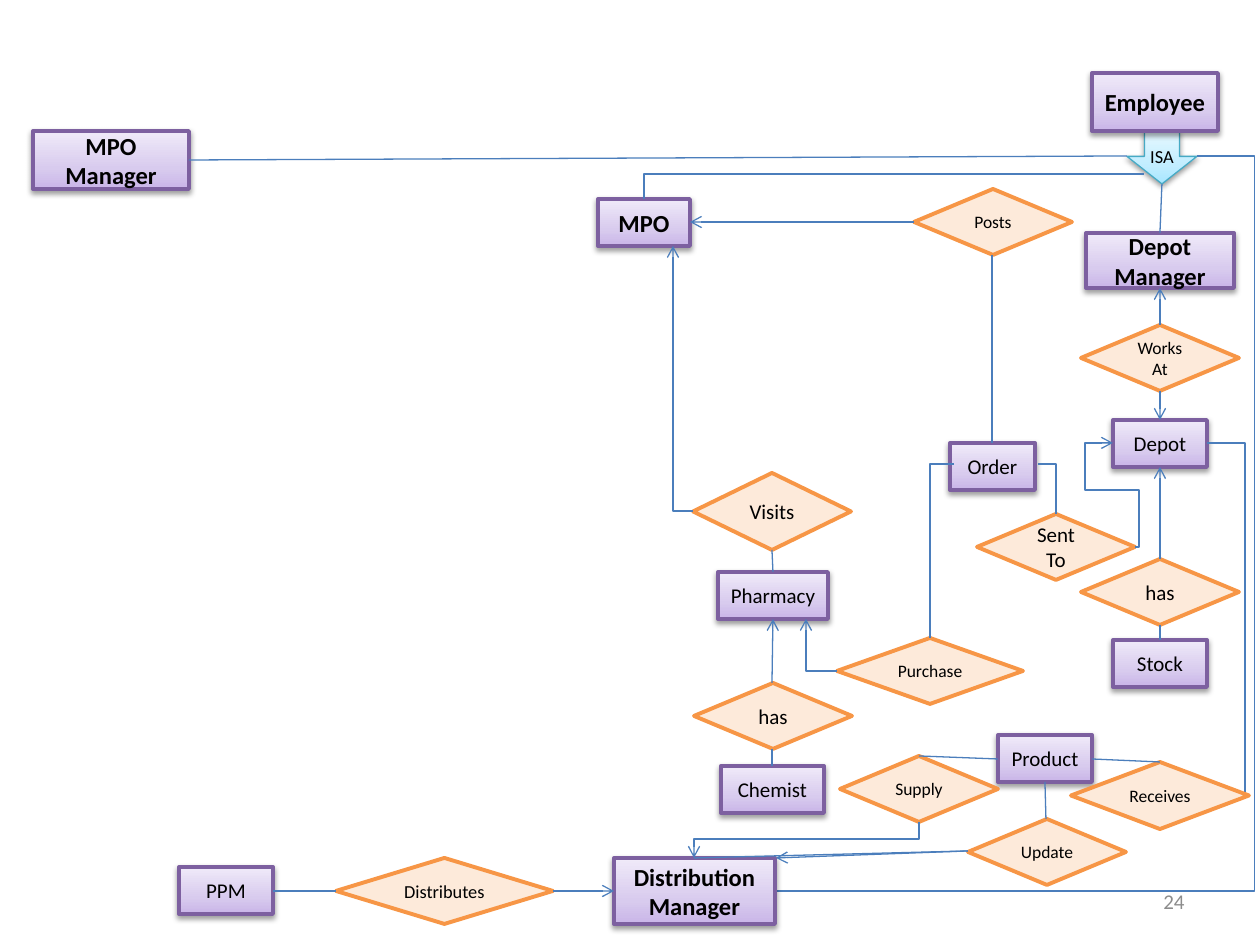
from copy import deepcopy

from pptx import Presentation
from pptx.dml.color import RGBColor
from pptx.enum.shapes import MSO_CONNECTOR as CONN, MSO_SHAPE as SHAPE
from pptx.enum.text import MSO_ANCHOR as ANCHOR, PP_ALIGN as ALIGN
from pptx.oxml import parse_xml
from pptx.oxml.ns import nsdecls, qn
from pptx.util import Pt

PX = 914400 // 126
COLORS = {
    "entity_line": "7D60A0", "isa_line": "46AAC5", "relation": "FDEADA",
    "relation_line": "F79646", "link": "4B7EBC", "text": "000000", "number": "8C8C8C",
}
GRADIENTS = {"entity": ("C9B5E8", "D8CBEE", "F0EAF9"), "isa": ("A7E6FF", "C1EDFF", "E7F8FF")}
SHADOW = (f'<a:outerShdw {nsdecls("a")} blurRad="40000" dist="20000" dir="5400000" '
          'rotWithShape="0"><a:srgbClr val="000000"><a:alpha val="38000"/>'
          '</a:srgbClr></a:outerShdw>')


def rgb(name):
    """Return the named colour."""
    return RGBColor.from_string(COLORS[name])


def write(sp, text, size, bold=False, color="text", align=ALIGN.CENTER):
    """Put one formatted paragraph, vertically centred, in a shape."""
    tf = sp.text_frame
    tf.word_wrap = True
    tf.vertical_anchor = ANCHOR.MIDDLE
    p = tf.paragraphs[0]
    p.text = text
    p.alignment = align
    font = p.runs[0].font
    font.name, font.size, font.bold = "Calibri", Pt(size), bold
    font.color.rgb = rgb(color)


def node(s, kind, box, text, size, line, width, bold=False):
    """Add an outlined shape with its label."""
    sp = s.shapes.add_shape(kind, *(v * PX for v in box))
    sp.shadow.inherit = False
    sp.line.color.rgb = rgb(line)
    sp.line.width = Pt(width)
    write(sp, text, size, bold)
    return sp


def glossy(sp, name):
    """Give a shape a three-stop upward gradient and a soft shadow."""
    sp.fill.gradient()
    sp.fill.gradient_angle = 90
    stops = sp._element.spPr.find(".//" + qn("a:gsLst"))
    stops.append(deepcopy(stops[0]))
    for stop, pos, color in zip(sp.fill.gradient_stops, (0, 0.35, 1), GRADIENTS[name]):
        stop.position = pos
        stop.color.rgb = RGBColor.from_string(color)
    sp._element.spPr.find(qn("a:effectLst")).append(parse_xml(SHADOW))


def link(s, points, arrow=False):
    """Join points by a straight line or by one right-angled connector."""
    (x1, y1), (x2, y2) = start, end = points[0], points[-1]
    bent = len(points) > 2
    c = s.shapes.add_connector(CONN.ELBOW if bent else CONN.STRAIGHT,
                               x1 * PX, y1 * PX, x2 * PX, y2 * PX)
    c.line.color.rgb = rgb("link")
    c.line.width = Pt(0.75)
    spPr = c._element.spPr
    if bent:
        axis = int(points[1][0] == x1)
        geom = spPr.find(qn("a:prstGeom"))
        geom.set("prst", f"bentConnector{len(points) - 1}")
        guides = geom.get_or_add_avLst()
        for i in range(1, len(points) - 2):
            k = (axis + i - 1) % 2
            adj = round(100000 * (points[i][k] - start[k]) / (end[k] - start[k]))
            guides.append(parse_xml(
                f'<a:gd {nsdecls("a")} name="adj{i}" fmla="val {adj}"/>'))
        if axis:
            w, h = abs(y2 - y1), abs(x2 - x1)
            c.left, c.top = (x1 + x2 - w) * PX // 2, (y1 + y2 - h) * PX // 2
            c.width, c.height = w * PX, h * PX
            xfrm = spPr.find(qn("a:xfrm"))
            xfrm.set("rot", "5400000")
            xfrm.set("flipH", str(int(y2 < y1)))
            xfrm.set("flipV", str(int(x2 > x1)))
    if arrow:
        c.line._get_or_add_ln().append(parse_xml(f'<a:tailEnd {nsdecls("a")} type="arrow"/>'))
    spPr.append(parse_xml(f'<a:effectLst {nsdecls("a")}/>'))


def place(s, x, y, entities=(), relations=(), lines=(), arrows=()):
    """Add entities, relations and links at offsets from one corner."""
    for text, size, (dx, dy, w, h) in entities:
        glossy(node(s, SHAPE.RECTANGLE, (x + dx, y + dy, w, h), text, size,
                    "entity_line", 2.25, size == 14), "entity")
    for text, size, (dx, dy, w, h) in relations:
        sp = node(s, SHAPE.FLOWCHART_DECISION, (x + dx, y + dy, w, h), text, size,
                  "relation_line", 2.25)
        sp.fill.solid()
        sp.fill.fore_color.rgb = rgb("relation")
    for group, arrow in ((lines, False), (arrows, True)):
        for points in group:
            link(s, [(x + dx, y + dy) for dx, dy in points], arrow)


def add_staff(s, x, y):
    """Employee hierarchy across the top."""
    isa = node(s, SHAPE.DOWN_ARROW, (x + 1097, y + 61, 70, 53), "ISA", 10.5, "isa_line", 0.75)
    isa.adjustments[0], isa.adjustments[1] = 0.5, 0.52
    isa.text_frame.word_wrap = False
    isa.text_frame.margin_top = 18 * PX
    glossy(isa, "isa")
    place(s, x, y,
          entities=[("Employee", 14, (1062, 3, 126, 58)),
                    ("MPO Manager", 14, (3, 61, 156, 58)),
                    ("MPO", 14, (568, 129, 92, 47)),
                    ("Depot Manager", 14, (1056, 163, 148, 55))],
          lines=[[(1097, 86), (159, 90)],
                 [(614, 129), (614, 104), (1114, 104)],
                 [(1132, 114), (1130, 163)],
                 [(1167, 86), (1225, 86), (1225, 821), (745, 821)]])


def add_sales(s, x, y):
    """Orders, visits and pharmacies in the middle."""
    place(s, x, y,
          entities=[("Order", 12, (350, 343, 85, 47)),
                    ("Pharmacy", 12, (118, 472, 110, 47)),
                    ("Chemist", 12, (121, 666, 103, 47))],
          relations=[("Posts", 10, (314, 89, 158, 66)),
                     ("Visits", 12, (93, 373, 158, 77)),
                     ("has", 12, (94, 583, 158, 66)),
                     ("Purchase", 10, (237, 538, 186, 66))],
          lines=[[(392, 155), (392, 343)],
                 [(172, 450), (173, 472)],
                 [(172, 649), (172, 666)],
                 [(330, 538), (330, 364), (354, 364)]],
          arrows=[[(314, 122), (90, 122)],
                  [(93, 411), (73, 411), (73, 146)],
                  [(172, 583), (173, 519)],
                  [(237, 571), (206, 571), (206, 519)]])


def add_depot(s, x, y):
    """Depot and its stock on the right."""
    place(s, x, y,
          entities=[("Depot", 12, (143, 100, 94, 47)),
                    ("Stock", 12, (143, 320, 94, 47))],
          relations=[("Works At", 10, (111, 5, 158, 66)),
                     ("Sent To", 12, (7, 194, 158, 66)),
                     ("has", 12, (111, 239, 158, 66))],
          lines=[[(190, 305), (190, 320)],
                 [(68, 144), (86, 144), (86, 194)],
                 [(237, 123), (275, 123), (275, 476), (279, 476)]],
          arrows=[[(190, 5), (190, -32)],
                  [(190, 71), (190, 100)],
                  [(190, 239), (190, 147)],
                  [(165, 227), (169, 227), (169, 170), (115, 170), (115, 123), (143, 123)]])


def add_distribution(s, x, y):
    """Product supply and distribution along the bottom."""
    place(s, x, y,
          entities=[("PPM", 12, (9, 137, 94, 47)),
                    ("Distribution Manager", 14, (444, 128, 161, 66)),
                    ("Product", 12, (828, 5, 94, 47))],
          relations=[("Distributes", 10.5, (166, 128, 217, 66)),
                     ("Supply", 10, (670, 26, 158, 66)),
                     ("Update", 10, (798, 89, 158, 66)),
                     ("Receives", 10, (901, 32, 178, 67))],
          lines=[[(166, 161), (103, 161)],
                 [(749, 26), (828, 29)],
                 [(990, 32), (922, 29)],
                 [(875, 52), (876, 89)],
                 [(524, 128), (798, 121)]],
          arrows=[[(383, 161), (444, 161)],
                  [(749, 92), (749, 109), (524, 109), (524, 128)],
                  [(798, 121), (606, 128)]])


def add_number(s, x, y, w, h):
    """Slide number in the lower right."""
    sp = s.shapes.add_textbox(x * PX, y * PX, w * PX, h * PX)
    write(sp, "24", 12, color="number", align=ALIGN.RIGHT)


prs = Presentation()
prs.slide_width, prs.slide_height = 1260 * PX, 945 * PX
s = prs.slides.add_slide(prs.slide_layouts[6])
add_staff(s, 30, 70)
add_sales(s, 600, 100)
add_depot(s, 970, 320)
add_distribution(s, 170, 730)
add_number(s, 903, 876, 294, 50)
prs.save("out.pptx")
